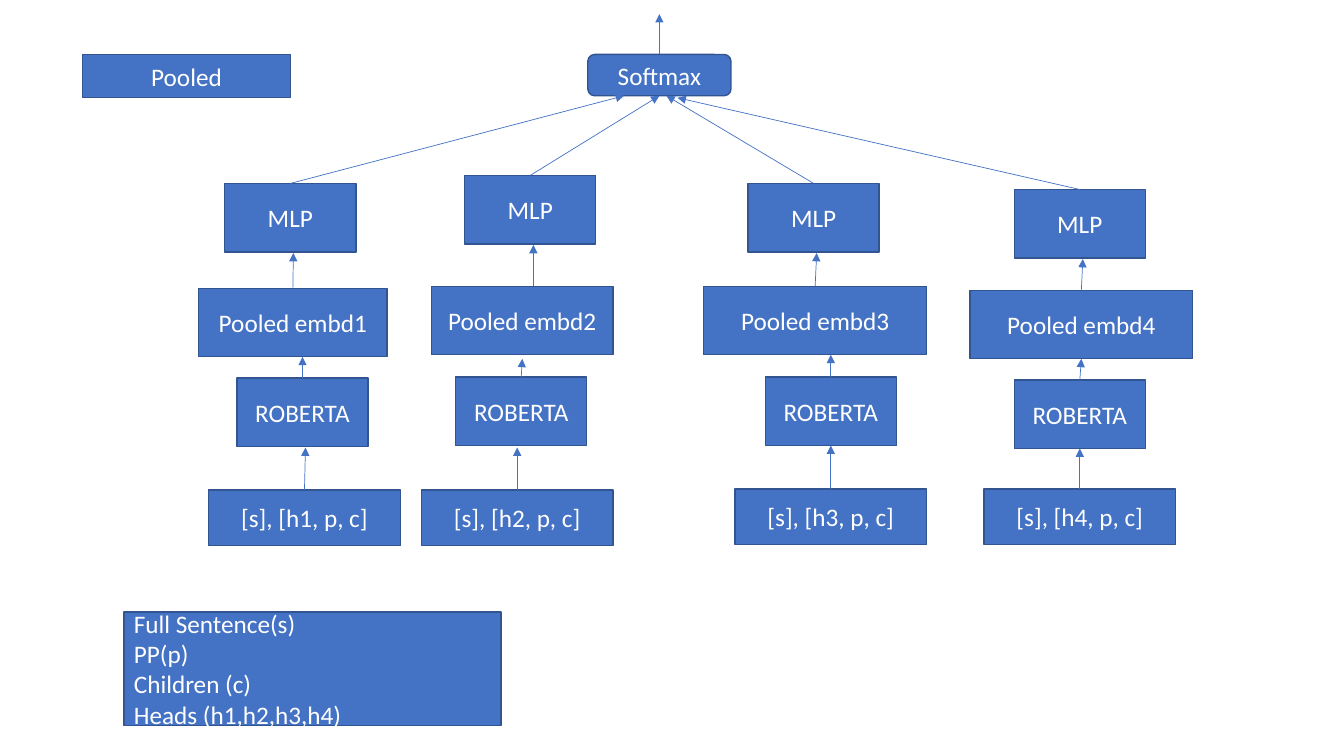
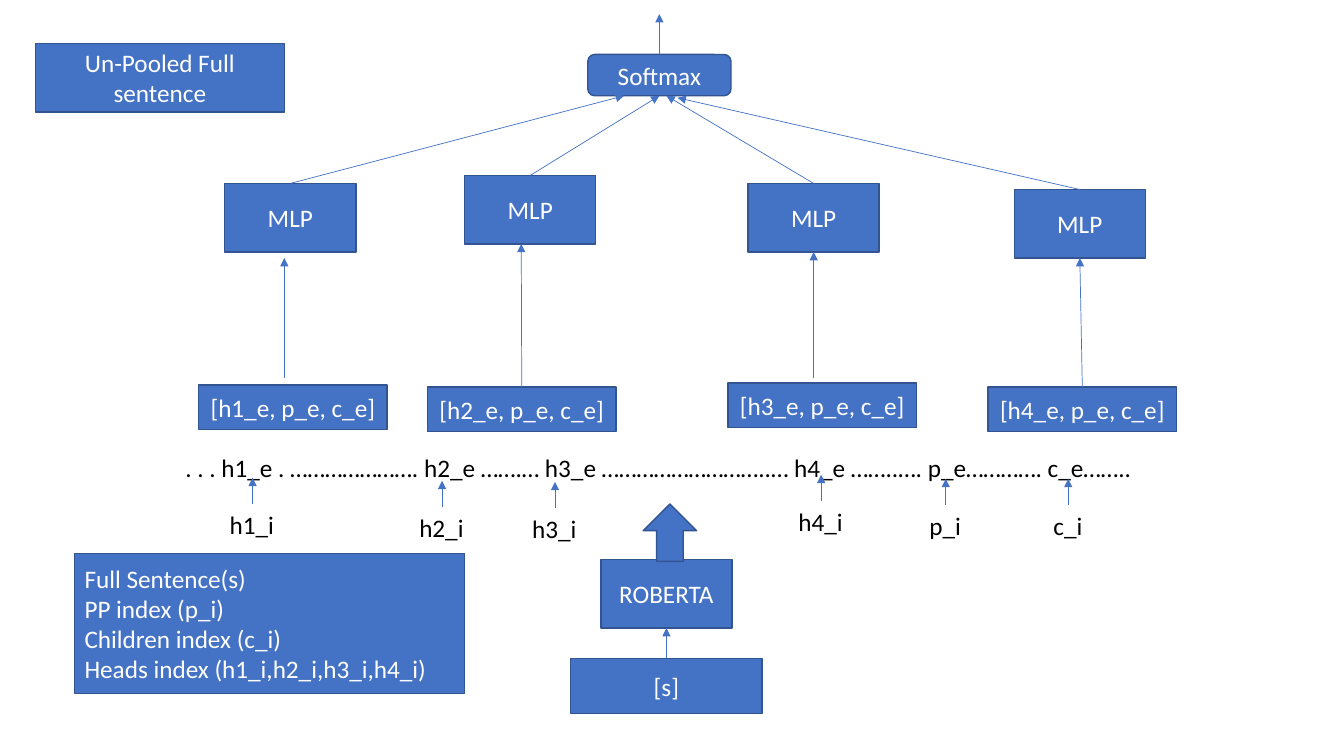
from lxml import etree
from pptx import Presentation
from pptx.dml.color import RGBColor
from pptx.enum.shapes import MSO_CONNECTOR, MSO_SHAPE
from pptx.enum.text import MSO_ANCHOR, MSO_AUTO_SIZE, PP_ALIGN
from pptx.oxml.ns import qn
from pptx.util import Inches, Pt

BLUE = RGBColor(0x44, 0x72, 0xC4)
NAVY = RGBColor(0x32, 0x54, 0x91)
WHITE = RGBColor(0xFF, 0xFF, 0xFF)
BLACK = RGBColor(0x00, 0x00, 0x00)

# Lengths are columns and rows of a grid with 0.1 inch cells
CELL = Inches(0.1)
TOLERANCE = 0.2 * CELL
FONT = {"name": "Calibri", "size": Pt(18), "bold": False}
FRAME = {"word_wrap": True, "auto_size": MSO_AUTO_SIZE.NONE,
         "vertical_anchor": MSO_ANCHOR.MIDDLE}
BLOCK = (13, 6.8)
INPUT = (19, 5.5)

# MLP left and top, then the point where its arrow meets Softmax
MLPS = [(22.3, 18.2, 61.9, 9.5), (46.1, 17.4, 65.5, 9.5),
        (74.2, 18.2, 66.1, 9.5), (100.6, 18.8, 67.2, 9.7)]


def grid(*cells):
    return [round(c * CELL) for c in cells]


def set_all(obj, values):
    for name, value in values.items():
        setattr(obj, name, value)


def write(sp, text, color, align, **frame):
    tf = sp.text_frame
    set_all(tf, {**FRAME, **frame})
    tf.text = text
    for p in tf.paragraphs:
        p.alignment = align
        for r in p.runs:
            set_all(r.font, FONT)
            r.font.color.rgb = color


def paint(sp):
    sp.fill.solid()
    sp.fill.fore_color.rgb = BLUE
    sp.line.color.rgb = NAVY
    sp.line.width = Pt(1)


def box(s, x, y, w, h, text="", align=PP_ALIGN.CENTER, kind=MSO_SHAPE.RECTANGLE):
    sp = s.shapes.add_shape(kind, *grid(x, y, w, h))
    sp.shadow.inherit = False
    paint(sp)
    if text:
        write(sp, text, WHITE, align)


def label(s, x, y, w, text, wrap=False):
    sp = s.shapes.add_textbox(*grid(x, y, w, 4))
    write(sp, text, BLACK, PP_ALIGN.LEFT, word_wrap=wrap,
          vertical_anchor=MSO_ANCHOR.TOP)


def title(s, x, y, w, h, text):
    sp = s.shapes.title
    sp.left, sp.top, sp.width, sp.height = grid(x, y, w, h)
    paint(sp)
    write(sp, text, WHITE, PP_ALIGN.CENTER)


def join(s, connect, x, y):
    """Attach a connector end to the side whose middle lies at this point."""
    for sp in s.shapes:
        if not sp.has_text_frame:
            continue
        cx, cy = sp.left + sp.width / 2, sp.top + sp.height / 2
        sides = [(cx, sp.top), (sp.left, cy),
                 (cx, sp.top + sp.height), (sp.left + sp.width, cy)]
        for site, (sx, sy) in enumerate(sides):
            if max(abs(sx - x), abs(sy - y)) <= TOLERANCE:
                connect(sp, site)
                return


def arrow(s, x1, y1, x2, y2):
    ends = grid(x1, y1, x2, y2)
    line = s.shapes.add_connector(MSO_CONNECTOR.STRAIGHT, *ends)
    line.line.color.rgb = BLUE
    line.line.width = Pt(0.5)
    ln = line.line._get_or_add_ln()
    etree.SubElement(ln, qn("a:tailEnd"), type="triangle")
    etree.SubElement(line._element.spPr, qn("a:effectLst"))
    join(s, line.begin_connect, *ends[:2])
    join(s, line.end_connect, *ends[2:])


def classifier(s):
    """Softmax fed by four MLPs, the top half of both slides."""
    box(s, 58.3, 5.4, 14.2, 4.1, "Softmax", kind=MSO_SHAPE.ROUNDED_RECTANGLE)
    arrow(s, 65.4, 5.4, 65.4, 1.4)
    for x, y, end_x, end_y in MLPS:
        box(s, x, y, *BLOCK, "MLP")
        arrow(s, x + BLOCK[0] / 2, y, end_x, end_y)


def legend(s, x, y, w, h, lines):
    box(s, x, y, w, h, "\n".join(lines), PP_ALIGN.LEFT)


def pooled_slide(s):
    title(s, 8.2, 5.4, 20.6, 4.3, "Pooled")
    classifier(s)

    # Per head: pooled left, top, width; ROBERTA left, top; input left, top;
    # x of the arrows below ROBERTA and below the pooled box
    stacks = [(19.7, 28.6, 18.7, 23.5, 37.5, 20.7, 48.6, 30.3, 30),
              (42.8, 28.4, 18, 45.2, 37.4, 41.8, 48.6, 51.3, 51.8),
              (69.8, 28.4, 22.1, 75.9, 37.4, 72.9, 48.5, 82.4, 82.4),
              (96.2, 28.8, 22.1, 100.6, 37.7, 97.6, 48.5, 107.1, 107.1)]
    for n, (stack, mlp) in enumerate(zip(stacks, MLPS), 1):
        px, py, pw, rx, ry, ix, iy, low_x, mid_x = stack
        box(s, px, py, pw, 6.8, f"Pooled embd{n}")
        box(s, rx, ry, *BLOCK, "ROBERTA")
        box(s, ix, iy, *INPUT, f"[s], [h{n}, p, c]")
        arrow(s, low_x, iy, low_x, 44.4)
        arrow(s, mid_x, ry, mid_x, py + 6.8 + (0.4 if n == 2 else 0))
        top_x = mlp[0] + BLOCK[0] / 2 + 0.3
        arrow(s, top_x, py, top_x, mlp[1] + BLOCK[1] + 0.1)

    legend(s, 12.3, 60.7, 37.4, 11.3,
           ["Full Sentence(s)", "PP(p)", "Children (c)", "Heads (h1,h2,h3,h4)"])


def unpooled_slide(s):
    title(s, 3.5, 4.3, 24.7, 6.8, "Un-Pooled Full sentence")
    classifier(s)

    # Per head: embedding left and top, then its arrow to the MLP
    embeddings = [(19.7, 38.2, 28.2, 37.5, 28.2, 25.6),
                  (42.4, 38.4, 51.7, 38.4, 51.7, 24.2),
                  (72.2, 38, 80.7, 37.5, 80.7, 25.1),
                  (98, 38.4, 107.4, 38.4, 107.1, 25.6)]
    for n, (x, y, *ends) in enumerate(embeddings, 1):
        box(s, x, y, 18.7, 4.4, f"[h{n}_e, p_e, c_e]")
        arrow(s, *ends)

    # Token embeddings and the indices that pick them out
    label(s, 17.4, 44.4, 105.7, ". . . h1_e . …………………. h2_e …….… h3_e "
          "………………………..… h4_e ……..…. p_e…………. c_e……..", wrap=True)
    indices = [("h1_i", 21.8, 50, 6.5), ("h2_i", 40.6, 50.3, 6.5),
               ("h3_i", 51.8, 50.4, 6.5), ("h4_i", 78.2, 49.7, 6.5),
               ("p_i", 91.2, 50.1, 5.2), ("c_i", 103.5, 50.1, 4.9)]
    for text, x, y, w in indices:
        label(s, x, y, w, text)
        arrow(s, x + w / 2, y, x + w / 2, y - 2.6)

    # Encoder
    box(s, 59.6, 55.5, *BLOCK, "ROBERTA")
    box(s, 56.6, 65.3, *INPUT, "[s]")
    arrow(s, 66.1, 65.3, 66.1, 62.3)
    box(s, 63.8, 50, 5.3, 5.7, kind=MSO_SHAPE.UP_ARROW)

    legend(s, 7.4, 54.9, 38.7, 13.9,
           ["Full Sentence(s)", "PP index (p_i)", "Children index (c_i)",
            "Heads index (h1_i,h2_i,h3_i,h4_i)"])


def main():
    prs = Presentation()
    prs.slide_width, prs.slide_height = Inches(13.33), Inches(7.5)
    for build in (pooled_slide, unpooled_slide):
        build(prs.slides.add_slide(prs.slide_layouts[5]))
    prs.save("out.pptx")


if __name__ == "__main__":
    main()
